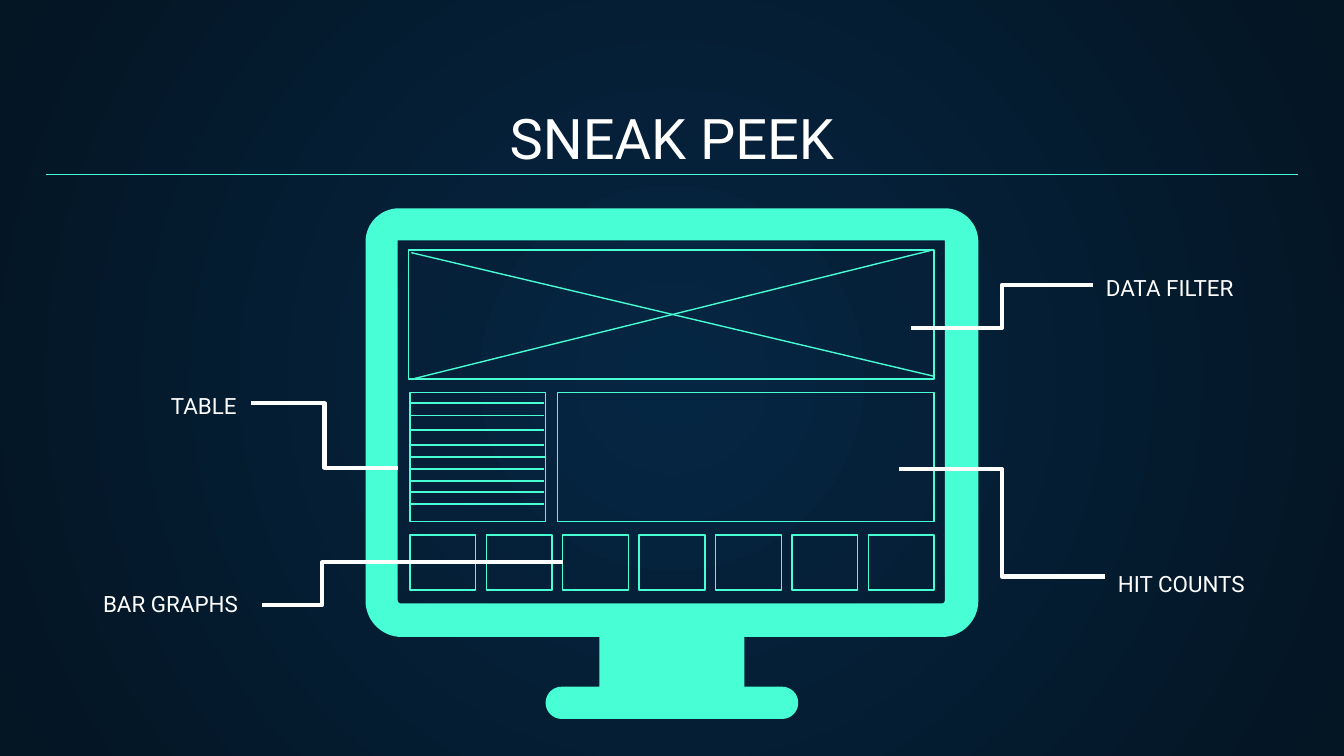
from math import cos, radians, sin

from lxml import etree
from pptx import Presentation
from pptx.dml.color import RGBColor
from pptx.enum.shapes import MSO_CONNECTOR, MSO_SHAPE
from pptx.enum.text import MSO_ANCHOR, PP_ALIGN
from pptx.oxml.ns import qn
from pptx.util import Inches, Pt

RECT = MSO_SHAPE.RECTANGLE
LINE, ELBOW = MSO_CONNECTOR.STRAIGHT, MSO_CONNECTOR.ELBOW
LEFT, MID, RIGHT = PP_ALIGN.LEFT, PP_ALIGN.CENTER, PP_ALIGN.RIGHT
TOP, BOTTOM = MSO_ANCHOR.TOP, MSO_ANCHOR.BOTTOM
COLORS = {"mint": "48FFD5", "white": "FFFFFF", "glow": "052643", "night": "041523"}


def rgb(name):
    return RGBColor.from_string(COLORS[name])


def arc(x, y, r, start, end, steps=16):
    """Points along a circle, angles in degrees, clockwise from the right."""
    angles = [radians(start + (end - start) * i / steps) for i in range(steps + 1)]
    return [(x + r * cos(a), y + r * sin(a)) for a in angles]


class Deck:
    font = "Roboto"
    inset = Inches(0.1)
    thin = Pt(0.75)
    thick = Pt(2.25)

    def __init__(self, slide):
        self.slide = slide
        self.shapes = slide.shapes

    def glow(self, inner, outer):
        fill = self.slide.background.fill
        fill.gradient()
        for stop, name in zip(fill.gradient_stops, (inner, outer)):
            stop.color.rgb = rgb(name)
        grad = self.slide.element.find(".//" + qn("a:gradFill"))
        grad.remove(grad.find(qn("a:lin")))
        path = etree.SubElement(grad, qn("a:path"), path="circle")
        sides = dict.fromkeys("ltrb", "50000")
        etree.SubElement(path, qn("a:fillToRect"), **sides)

    def text(self, words, x, y, w, h, size=12, align=LEFT, anchor=TOP, space=1):
        frame = self.shapes.add_textbox(*map(Inches, (x, y, w, h))).text_frame
        frame.word_wrap = True
        frame.vertical_anchor = anchor
        frame.margin_left = frame.margin_right = self.inset
        frame.margin_top = frame.margin_bottom = self.inset
        para = frame.paragraphs[0]
        para.alignment = align
        para.line_spacing = space
        run = para.add_run()
        run.text = words
        run.font.name = self.font
        run.font.size = Pt(size)
        run.font.color.rgb = rgb("white")

    def frame(self, x, y, w, h, group=None):
        parent = group.shapes if group else self.shapes
        box = parent.add_shape(RECT, *map(Inches, (x, y, w, h)))
        box.shadow.inherit = False
        box.fill.background()
        box.line.color.rgb = rgb("mint")
        box.line.width = self.thin
        return box

    def solid(self, *rings):
        first, *rest = rings
        pen = self.shapes.build_freeform(*map(Inches, first[0]), scale=1.0)
        pen.add_line_segments([(Inches(x), Inches(y)) for x, y in first[1:]])
        for ring in rest:
            pen.move_to(*map(Inches, ring[0]))
            pen.add_line_segments([(Inches(x), Inches(y)) for x, y in ring[1:]])
        shape = pen.convert_to_shape()
        shape.shadow.inherit = False
        shape.fill.solid()
        shape.fill.fore_color.rgb = rgb("mint")
        shape.line.fill.background()

    def line(self, x1, y1, x2, y2, kind=LINE, color="mint", width=None):
        link = self.shapes.add_connector(kind, *map(Inches, (x1, y1, x2, y2)))
        link.line.color.rgb = rgb(color)
        link.line.width = width or self.thin
        etree.SubElement(link.element.spPr, qn("a:effectLst"))
        return link

    def elbow(self, x1, y1, x2, y2, bend=0.5):
        link = self.line(x1, y1, x2, y2, ELBOW, "white", self.thick)
        guides = link.element.spPr.find(qn("a:prstGeom")).find(qn("a:avLst"))
        fmla = f"val {round(bend * 100000)}"
        etree.SubElement(guides, qn("a:gd"), name="adj1", fmla=fmla)
        return link


def main():
    prs = Presentation()
    prs.slide_width = Inches(10)
    prs.slide_height = Inches(10 * 9 / 16)
    deck = Deck(prs.slides.add_slide(prs.slide_layouts[6]))
    deck.glow("glow", "night")

    # Title
    deck.text("SNEAK PEEK", 0.34, 0.71, 9.32, 0.66, 30, MID, BOTTOM)

    # Monitor: right half mirrored about the middle, with the screen cut out
    half = [
        *arc(7.03, 1.8, 0.25, -90, 0),
        *arc(7.01, 4.47, 0.27, 0, 90),
        (5.54, 4.74), (5.54, 5.11),
        *arc(5.82, 5.23, 0.12, -90, 90),
    ]
    case = half + [(10 - x, y) for x, y in reversed(half)]
    screen = [(7.03, 1.79), (2.96, 1.79), *arc(2.98, 4.47, 0.02, 180, 90, 4),
              *arc(7.01, 4.47, 0.02, 90, 0, 4)]
    deck.solid(case + case[:1], screen + screen[:1])

    # Screen panels
    deck.frame(3.04, 1.86, 3.91, 0.96)
    table = deck.frame(3.05, 2.92, 1.01, 0.96)
    deck.frame(4.15, 2.92, 2.8, 0.96)

    # Bar graph tiles
    group = deck.shapes.add_group_shape()
    step = (6.46 - 3.05) / 6
    tiles = [deck.frame(3.05 + i * step, 3.98, 0.49, 0.41, group) for i in range(7)]

    # Cross in the filter panel
    deck.line(3.06, 1.88, 6.95, 2.8)
    deck.line(3.07, 2.82, 6.94, 1.86)

    # Table rows
    for y in (3, 3.09, 3.2, 3.31, 3.4, 3.49, 3.58, 3.66, 3.75):
        row = deck.line(3.05, y, 4.05, y)
        if y == 3.4:
            row.begin_connect(table, 1)
            row.end_connect(table, 3)

    # Labels
    deck.text("DATA FILTER", 8.13, 1.94, 1.31, 0.26)
    deck.text("TABLE", 0.7, 2.82, 1.16, 0.21, align=RIGHT)
    deck.text("HIT COUNTS", 8.22, 3.94, 1.57, 0.42, space=2)
    deck.text("BAR GRAPHS", 0.51, 4.29, 1.36, 0.32, align=RIGHT)

    # Callout lines
    deck.elbow(1.87, 3, 2.96, 3.48)
    deck.elbow(1.95, 4.5, 4.19, 4.19, 0.2).end_connect(tiles[2], 1)
    deck.elbow(6.78, 2.44, 8.13, 2.12)
    deck.elbow(6.69, 3.49, 8.22, 4.29)

    # Title rule
    deck.line(0.34, 1.3, 9.66, 1.3)

    prs.save("out.pptx")


if __name__ == "__main__":
    main()
